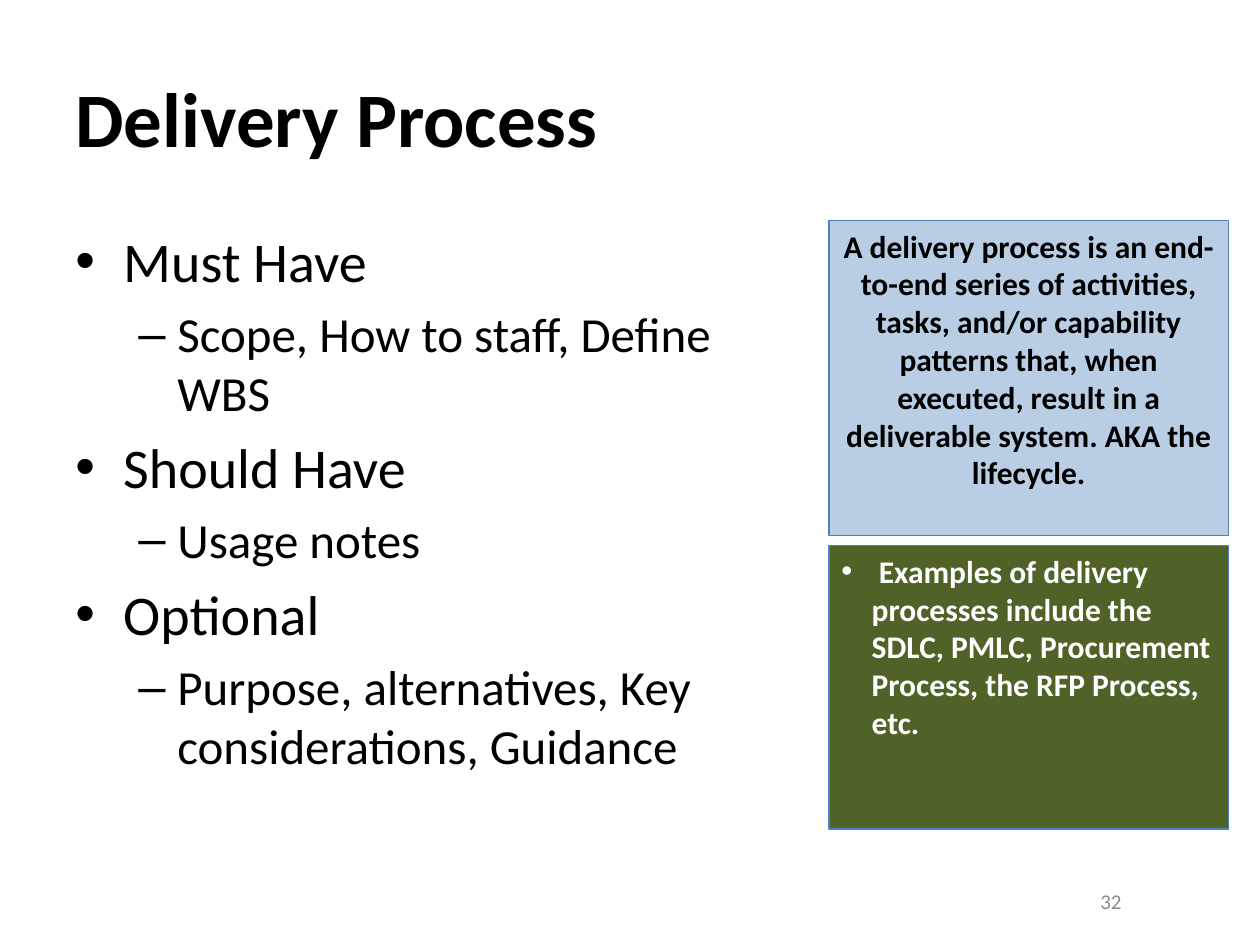
from dataclasses import dataclass
from typing import Optional

from lxml import etree
from pptx import Presentation
from pptx.dml.color import RGBColor
from pptx.enum import shapes, text
from pptx.oxml import ns
from pptx.util import Inches, Pt


@dataclass(frozen=True)
class Theme:
    """Colours, font and type sizes of the slide."""
    font: str = "Calibri"
    ink: str = "000000"
    muted: str = "8C8C8C"
    light: str = "FFFFFF"
    definition_fill: str = "B9CDE5"
    examples_fill: str = "4F6228"
    border: str = "4F81BD"
    title: int = 44
    topic: int = 32
    detail: int = 28
    panel: int = 18
    number: int = 12


@dataclass(frozen=True)
class Line:
    """One paragraph with its format."""
    wording: str
    size: int
    color: str
    bold: bool = False
    align: text.PP_ALIGN = text.PP_ALIGN.LEFT
    bullet: str = ""
    margin: float = 0
    hang: float = 0
    level: int = 0
    spacing: float = 0.2


@dataclass(frozen=True)
class Block:
    """A text area, filled when it has a fill colour."""
    left: float
    top: float
    width: float
    height: float
    lines: list[Line]
    anchor: text.MSO_ANCHOR = text.MSO_ANCHOR.TOP
    fill: Optional[str] = None


THEME = Theme()
CONTENT_TOP = 1.75
PANEL_LEFT, PANEL_WIDTH = 6.58, 3.17
OUTLINE = {
    "Must Have": "Scope, How to staff, Define WBS",
    "Should Have": "Usage notes",
    "Optional": "Purpose, alternatives, Key considerations, Guidance",
}


def apply(target, values: dict) -> None:
    """Set each named attribute on the target."""
    for name, value in values.items():
        setattr(target, name, value)


def add_bullet(paragraph, line: Line) -> None:
    """Give a paragraph its bullet and hanging indent."""
    properties = paragraph._p.get_or_add_pPr()
    properties.set("marL", str(Inches(line.margin)))
    properties.set("indent", str(Inches(-line.hang)))
    etree.SubElement(properties, ns.qn("a:buFont"), typeface="Arial")
    etree.SubElement(properties, ns.qn("a:buChar"), char=line.bullet)


def write_line(paragraph, line: Line) -> None:
    """Write one line into a paragraph."""
    apply(paragraph, {
        "alignment": line.align,
        "level": line.level,
        "space_before": Pt(line.size * line.spacing),
    })
    if line.bullet:
        add_bullet(paragraph, line)
    run = paragraph.add_run()
    run.text = line.wording
    apply(run.font, {"name": THEME.font, "size": Pt(line.size), "bold": line.bold})
    run.font.color.rgb = RGBColor.from_string(line.color)


def draw_block(slide, block: Block) -> None:
    """Draw a text area with all its lines."""
    place = [Inches(v) for v in (block.left, block.top, block.width, block.height)]
    if block.fill:
        area = slide.shapes.add_shape(shapes.MSO_SHAPE.RECTANGLE, *place)
        area.shadow.inherit = False
        area.fill.solid()
        area.fill.fore_color.rgb = RGBColor.from_string(block.fill)
        area.line.color.rgb = RGBColor.from_string(THEME.border)
        area.line.width = Pt(0.75)
    else:
        area = slide.shapes.add_textbox(*place)
    frame = area.text_frame
    apply(frame, {
        "word_wrap": True,
        "auto_size": text.MSO_AUTO_SIZE.NONE,
        "vertical_anchor": block.anchor,
    })
    for index, line in enumerate(block.lines):
        write_line(frame.add_paragraph() if index else frame.paragraphs[0], line)


def outline_lines() -> list[Line]:
    """Turn the outline into topic and detail lines."""
    lines = []
    for topic, detail in OUTLINE.items():
        lines.append(Line(topic, THEME.topic, THEME.ink,
                          bullet="•", margin=0.38, hang=0.38))
        lines.append(Line(detail, THEME.detail, THEME.ink,
                          bullet="–", margin=0.81, hang=0.31, level=1))
    return lines


def main() -> None:
    """Build and save the slide."""
    deck = Presentation()
    apply(deck, {"slide_width": Inches(10), "slide_height": Inches(7.5)})
    slide = deck.slides.add_slide(deck.slide_layouts[6])

    title = Line("Delivery Process", THEME.title, THEME.ink, bold=True, spacing=0)
    number = Line("32", THEME.number, THEME.muted,
                  align=text.PP_ALIGN.RIGHT, spacing=0)
    definition = Line(
        "A delivery process is an end-to-end series of activities, tasks, and/or "
        "capability patterns that, when executed, result in a deliverable system. "
        "AKA the lifecycle.",
        THEME.panel, THEME.ink, bold=True, align=text.PP_ALIGN.CENTER)
    examples = Line(
        " Examples of delivery processes include the SDLC, PMLC, Procurement "
        "Process, the RFP Process, etc.",
        THEME.panel, THEME.light, bold=True, bullet="•", margin=0.24, hang=0.24)

    middle = text.MSO_ANCHOR.MIDDLE
    for block in (
        Block(0.5, 0.3, 9, 1.25, [title], middle),
        Block(7.17, 6.95, 1.83, 0.4, [number], middle),
        Block(0.5, CONTENT_TOP, 6, 4.83, outline_lines()),
        Block(PANEL_LEFT, CONTENT_TOP, PANEL_WIDTH, 2.5, [definition],
              fill=THEME.definition_fill),
        Block(PANEL_LEFT, 4.33, PANEL_WIDTH, 2.25, [examples],
              fill=THEME.examples_fill),
    ):
        draw_block(slide, block)
    deck.save("out.pptx")


main()
